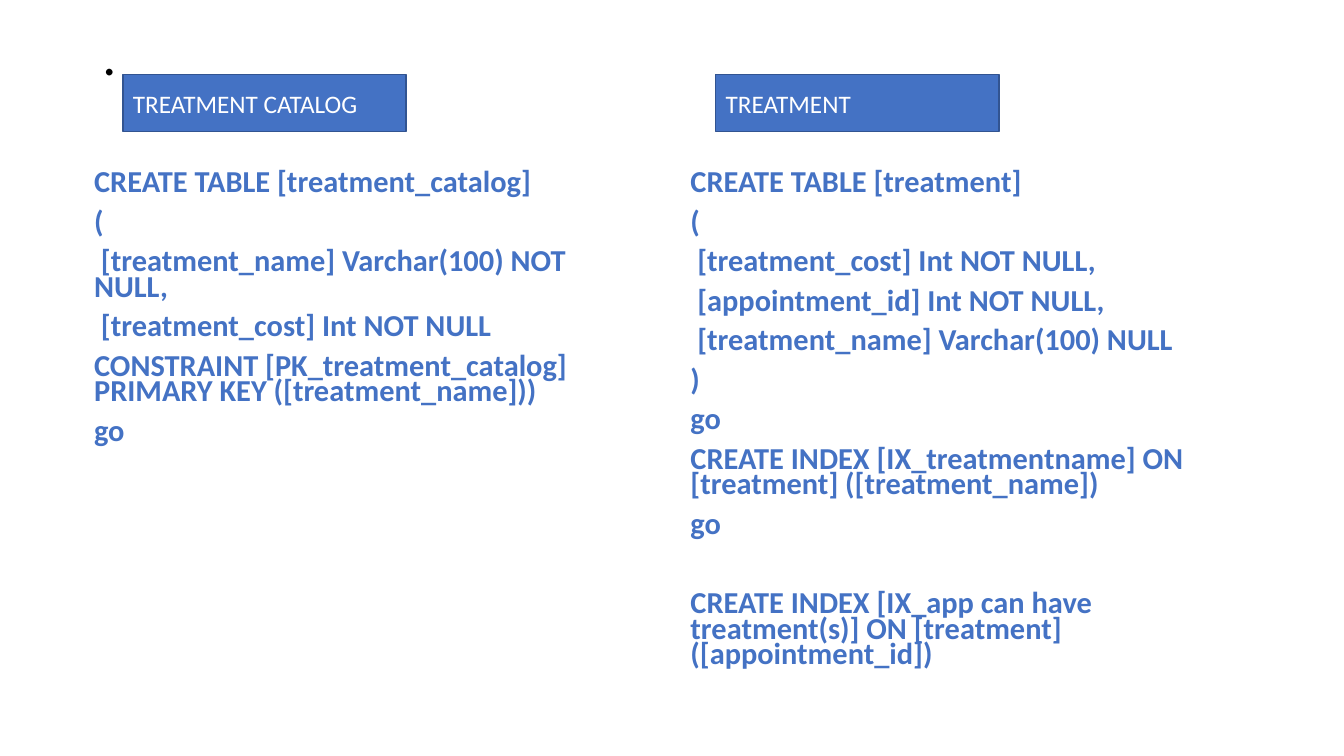
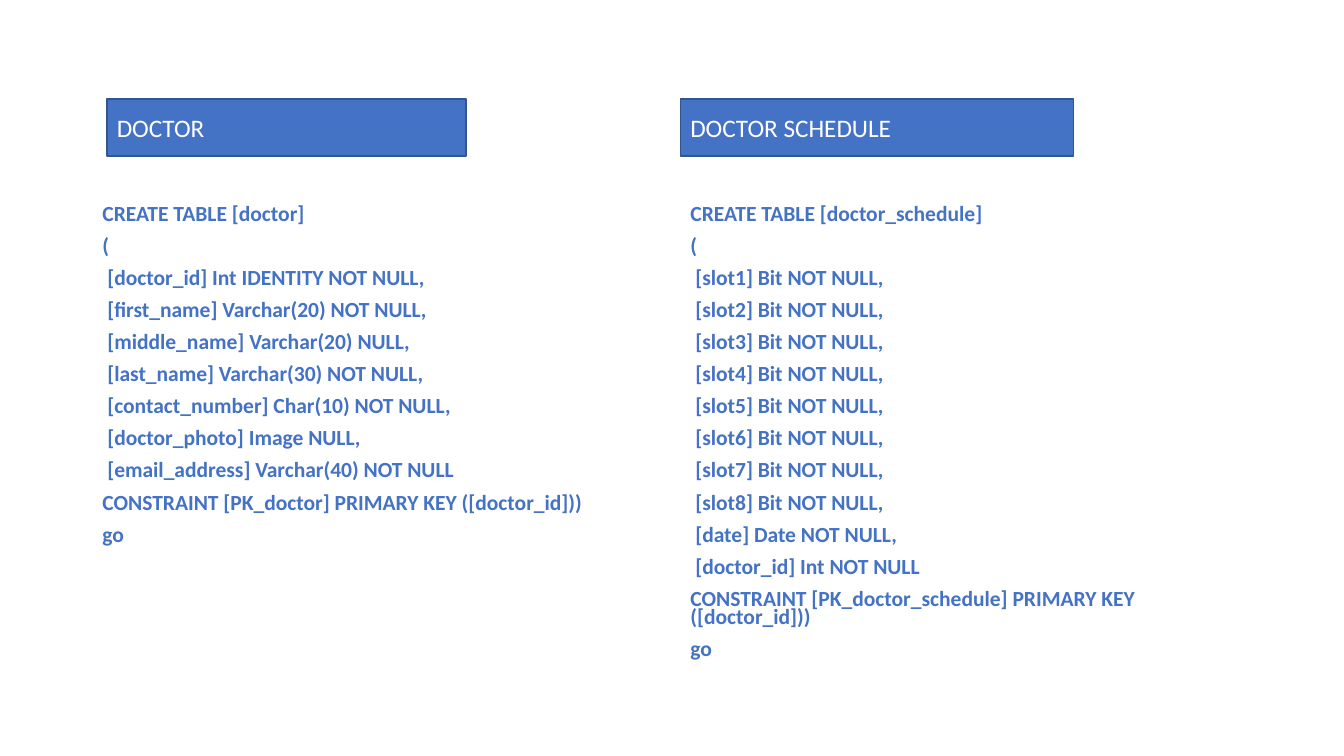
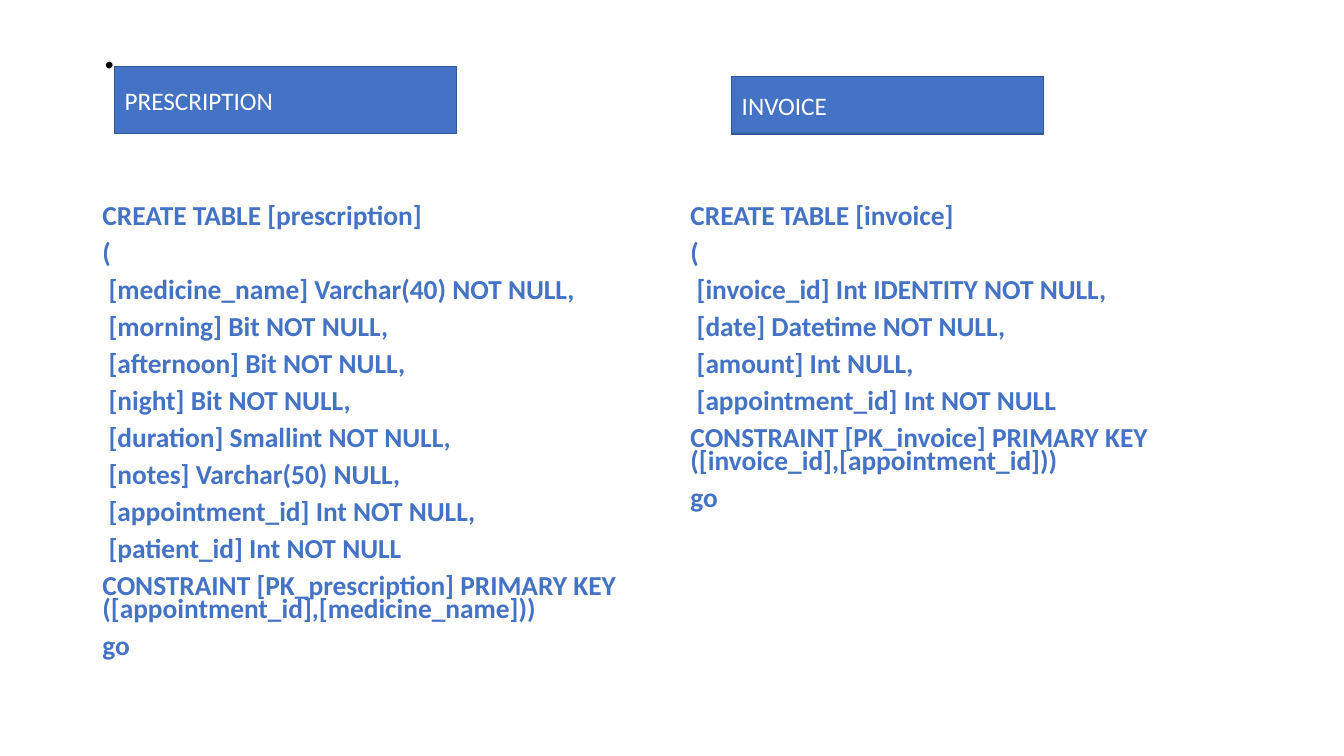
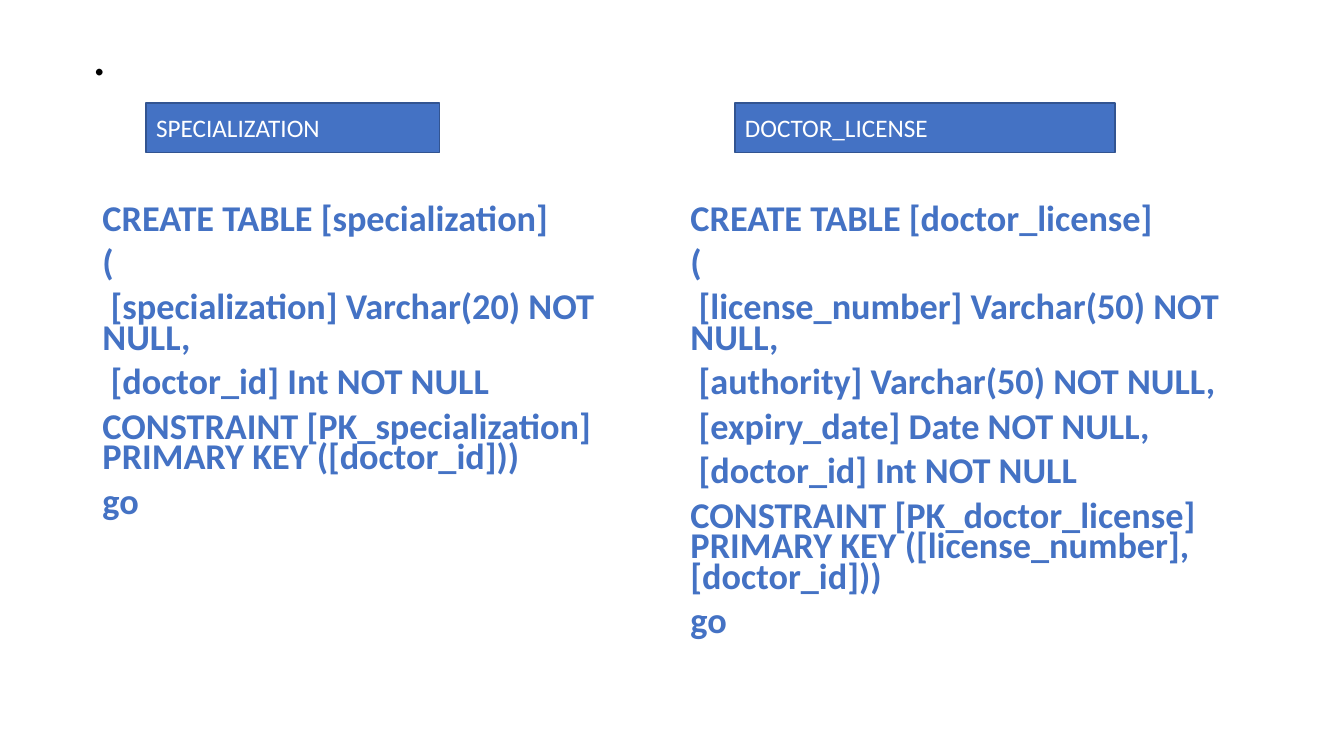
from dataclasses import dataclass
from lxml.etree import SubElement
from pptx import Presentation
from pptx.dml.color import RGBColor as RGB
from pptx.enum.shapes import MSO_SHAPE as SHAPE
from pptx.enum.text import MSO_ANCHOR as ANCHOR, MSO_AUTO_SIZE as AUTO, PP_ALIGN as ALIGN
from pptx.oxml.ns import qn
from pptx.util import Pt


@dataclass(frozen=True)
class Theme:
    font: str = "Calibri"
    blue: RGB = RGB(0x44, 0x72, 0xC4)
    edge: RGB = RGB(0x32, 0x54, 0x91)
    white: RGB = RGB(255, 255, 255)
    black: RGB = RGB(0, 0, 0)
    title: float = 39.6
    label: float = 18
    before: float = 10
    pitch: float = 0.7


@dataclass
class Panel:
    label: str
    bar: tuple
    table: str
    cols: list
    tail: list
    gap: float = 0


@dataclass
class Page:
    size: float
    dot: tuple
    left: tuple
    right: tuple
    panels: list


def place(shape, box):
    shape.left, shape.top, shape.width, shape.height = [Pt(n) for n in box]


def style(para, size, color, bold=False):
    for run in para.runs:
        font = run.font
        font.name, font.size, font.bold = theme.font, Pt(size), bold
        font.color.rgb = color


theme = Theme()
left, right = (66, 144, 408, 343), (486, 144, 408, 343)

pages = [
    Page(21.7, (66, 28.8, 21.6, 25.2), (60, 119.5, 381, 367), (486, 119.5, 408, 367), [
        Panel("TREATMENT CATALOG", (87.8, 53.3, 202.3, 40.5), "treatment_catalog",
              ["[treatment_name] Varchar(100) NOT NULL,", "[treatment_cost] Int NOT NULL"],
              ["CONSTRAINT [PK_treatment_catalog] PRIMARY KEY ([treatment_name]))", "go"]),
        Panel("TREATMENT", (511.2, 53.3, 202.3, 40.5), "treatment",
              ["[treatment_cost] Int NOT NULL,", "[appointment_id] Int NOT NULL,",
               "[treatment_name] Varchar(100) NULL"],
              [")", "go",
               "CREATE INDEX [IX_treatmentname] ON [treatment] ([treatment_name])", "go",
               "CREATE INDEX [IX_app can have treatment(s)] ON [treatment] ([appointment_id])"],
              gap=28.4),
    ]),
    Page(15.4, (), left, right, [
        Panel("DOCTOR", (76.3, 70.6, 256.5, 41), "doctor",
              ["[doctor_id] Int IDENTITY NOT NULL,", "[first_name] Varchar(20) NOT NULL,",
               "[middle_name] Varchar(20) NULL,", "[last_name] Varchar(30) NOT NULL,",
               "[contact_number] Char(10) NOT NULL,", "[doctor_photo] Image NULL,",
               "[email_address] Varchar(40) NOT NULL"],
              ["CONSTRAINT [PK_doctor] PRIMARY KEY ([doctor_id]))", "go"]),
        Panel("DOCTOR SCHEDULE", (486, 70.6, 280.8, 41), "doctor_schedule",
              [f"[slot{n}] Bit NOT NULL," for n in range(1, 9)]
              + ["[date] Date NOT NULL,", "[doctor_id] Int NOT NULL"],
              ["CONSTRAINT [PK_doctor_schedule] PRIMARY KEY ([doctor_id]))", "go"]),
    ]),
    Page(19.6, (66, 28.8, 31.7, 15.1), left, right, [
        Panel("PRESCRIPTION", (82, 47.5, 244, 48), "prescription",
              ["[medicine_name] Varchar(40) NOT NULL,", "[morning] Bit NOT NULL,",
               "[afternoon] Bit NOT NULL,", "[night] Bit NOT NULL,",
               "[duration] Smallint NOT NULL,", "[notes] Varchar(50) NULL,",
               "[appointment_id] Int NOT NULL,", "[patient_id] Int NOT NULL"],
              ["CONSTRAINT [PK_prescription] PRIMARY KEY ([appointment_id],[medicine_name]))",
               "go"]),
        Panel("INVOICE", (522.7, 54.7, 222.5, 41), "invoice",
              ["[invoice_id] Int IDENTITY NOT NULL,", "[date] Datetime NOT NULL,",
               "[amount] Int NULL,", "[appointment_id] Int NOT NULL"],
              ["CONSTRAINT [PK_invoice] PRIMARY KEY ([invoice_id],[appointment_id]))", "go"]),
    ]),
    Page(25.9, (66, 28.8, 3.6, 25.2), left, right, [
        Panel("SPECIALIZATION", (104.4, 73.6, 209.5, 35.3), "specialization",
              ["[specialization] Varchar(20) NOT NULL,", "[doctor_id] Int NOT NULL"],
              ["CONSTRAINT [PK_specialization] PRIMARY KEY ([doctor_id]))", "go"]),
        Panel("DOCTOR_LICENSE", (525, 73.6, 271.5, 35.3), "doctor_license",
              ["[license_number] Varchar(50) NOT NULL,", "[authority] Varchar(50) NOT NULL,",
               "[expiry_date] Date NOT NULL,", "[doctor_id] Int NOT NULL"],
              ["CONSTRAINT [PK_doctor_license] PRIMARY KEY ([license_number],[doctor_id]))",
               "go"]),
    ]),
]

deck = Presentation()
deck.slide_width, deck.slide_height = Pt(960), Pt(540)

for page in pages:
    slide = deck.slides.add_slide(deck.slide_layouts[3])
    title, *bodies = slide.placeholders
    if page.dot:
        place(title, page.dot)
        frame = title.text_frame
        frame.text = "."
        frame.auto_size, frame.vertical_anchor = AUTO.NONE, ANCHOR.MIDDLE
        para = frame.paragraphs[0]
        para.alignment, para.line_spacing = ALIGN.LEFT, 0.9
        style(para, theme.title, theme.black)
    else:
        title.element.getparent().remove(title.element)

    for panel, body, box in zip(page.panels, bodies, (page.left, page.right)):
        place(body, box)
        frame = body.text_frame
        lines = [f"CREATE TABLE [{panel.table}]", "("]
        lines += [f" {col}" for col in panel.cols] + panel.tail
        frame.text = "\n".join(lines)
        frame.auto_size = AUTO.NONE
        for para in frame.paragraphs:
            para.line_spacing, para.space_before = theme.pitch, Pt(theme.before)
            props = para._p.get_or_add_pPr()
            props.set("marL", "0")
            props.set("indent", "0")
            SubElement(props, qn("a:buNone"))
            style(para, page.size, theme.blue, True)
        para.space_before = Pt(theme.before + panel.gap)

        bar = slide.shapes.add_shape(SHAPE.RECTANGLE, *[Pt(n) for n in panel.bar])
        bar.shadow.inherit = False
        bar.fill.solid()
        bar.fill.fore_color.rgb = theme.blue
        bar.line.color.rgb, bar.line.width = theme.edge, Pt(1)
        bar.text_frame.text = panel.label
        style(bar.text_frame.paragraphs[0], theme.label, theme.white)

deck.save("out.pptx")
